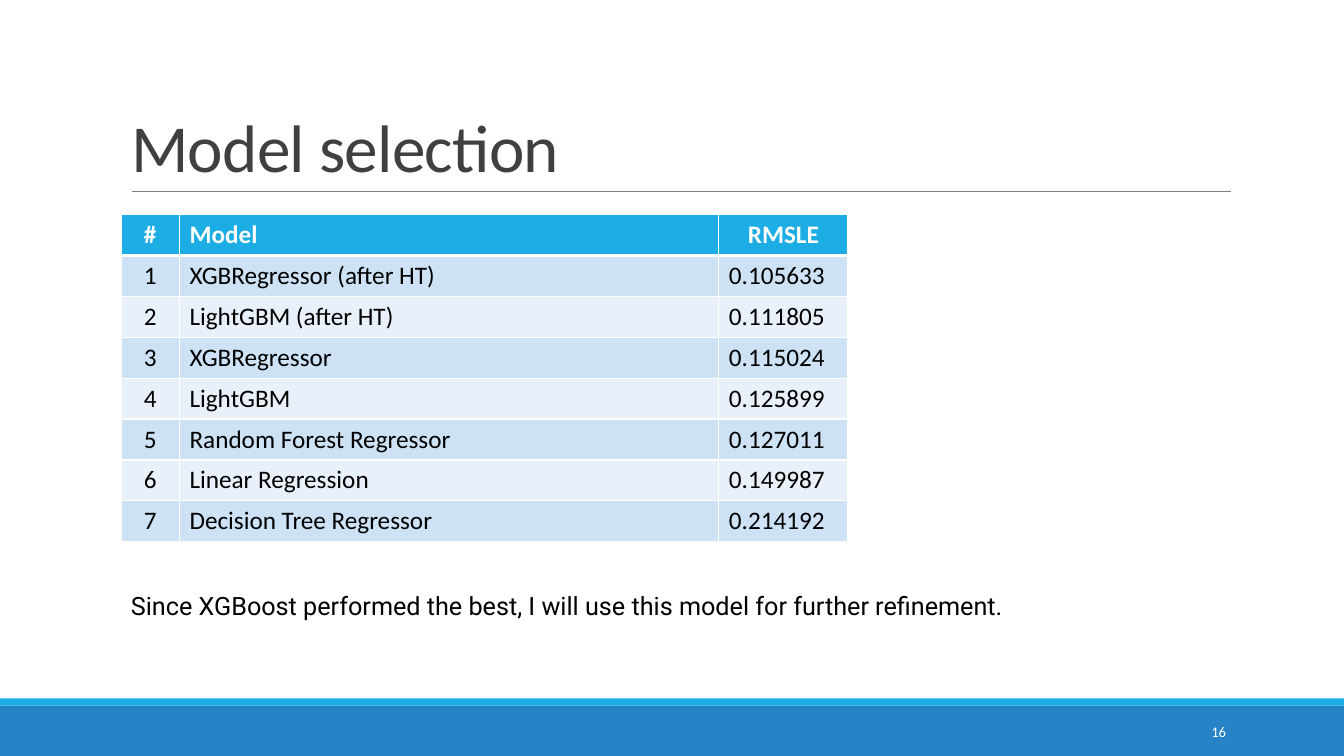
from dataclasses import dataclass
from typing import Any, NamedTuple

from lxml import etree
from pptx import Presentation
from pptx.dml.color import RGBColor
from pptx.enum.shapes import MSO_CONNECTOR, MSO_SHAPE
from pptx.enum.text import MSO_ANCHOR, MSO_AUTO_SIZE, PP_ALIGN
from pptx.oxml.ns import qn
from pptx.util import Inches, Pt

LEFT, CENTER, RIGHT = PP_ALIGN.LEFT, PP_ALIGN.CENTER, PP_ALIGN.RIGHT
TOP, MIDDLE, BOTTOM = MSO_ANCHOR.TOP, MSO_ANCHOR.MIDDLE, MSO_ANCHOR.BOTTOM
NO_FIT, GROW = MSO_AUTO_SIZE.NONE, MSO_AUTO_SIZE.SHAPE_TO_FIT_TEXT
RECTANGLE, STRAIGHT = MSO_SHAPE.RECTANGLE, MSO_CONNECTOR.STRAIGHT
TITLE_ONLY_LAYOUT = 5


@dataclass(frozen=True)
class Theme:
    white: str = "FFFFFF"
    black: str = "000000"
    title: str = "404040"
    rule: str = "808080"
    accent: str = "1CADE4"
    footer: str = "2683C6"
    bands: tuple[str, str] = ("CDE3F5", "E8F1FA")
    font: str = "Calibri"
    note_font: str = "Roboto"
    title_size: float = 48
    body_size: float = 18
    number_size: float = 10.5


class Box(NamedTuple):
    left: float
    top: float
    width: float
    height: float

    def lengths(self) -> list[int]:
        return [Inches(value) for value in self]


class Band(NamedTuple):
    box: Box
    color: str


class TextStyle(NamedTuple):
    size: float
    color: str
    font: str
    bold: bool = False
    alignment: Any = LEFT


class TextItem(NamedTuple):
    text: str
    box: Box
    style: TextStyle
    frame_format: dict[str, Any]


class Column(NamedTuple):
    heading: str
    width: float
    heading_alignment: Any
    alignment: Any


THEME = Theme()
SLIDE_WIDTH, SLIDE_HEIGHT = 13.33, 7.5
FOOTER_BANDS = [
    Band(Box(0, 7, SLIDE_WIDTH, 0.5), THEME.footer),
    Band(Box(0, 6.93, SLIDE_WIDTH, 0.07), THEME.accent),
]
TITLE = TextItem(
    "Model selection", Box(1.2, 0.31, 11, 1.59),
    TextStyle(THEME.title_size, THEME.title, THEME.font),
    {"vertical_anchor": BOTTOM, "auto_size": NO_FIT, "word_wrap": True},
)
TEXT_BOXES = [
    TextItem(
        "Since XGBoost performed the best, I will use this model for further refinement.",
        Box(1.2, 5.81, 8.93, 0.4),
        TextStyle(THEME.body_size, THEME.black, THEME.note_font),
        {"vertical_anchor": TOP, "auto_size": GROW, "word_wrap": False},
    ),
    TextItem(
        "16", Box(10.83, 7.06, 1.43, 0.4),
        TextStyle(THEME.number_size, THEME.white, THEME.font, alignment=RIGHT),
        {"vertical_anchor": MIDDLE, "auto_size": NO_FIT, "word_wrap": True},
    ),
]
COLUMNS = [
    Column("#", 0.58, CENTER, CENTER),
    Column("Model", 5.35, LEFT, LEFT),
    Column("RMSLE", 1.28, CENTER, LEFT),
]
SCORES = [
    ("XGBRegressor (after HT)", "0.105633"),
    ("LightGBM (after HT)", "0.111805"),
    ("XGBRegressor", "0.115024"),
    ("LightGBM", "0.125899"),
    ("Random Forest Regressor", "0.127011"),
    ("Linear Regression", "0.149987"),
    ("Decision Tree Regressor", "0.214192"),
]
TABLE_LEFT, TABLE_TOP, ROW_HEIGHT = 1.2, 2.13, 0.405
THIN_BORDER, HEADING_BORDER = 1, 3


def write_text(text_frame: Any, text: str, style: TextStyle) -> None:
    paragraph = text_frame.paragraphs[0]
    paragraph.alignment = style.alignment
    run = paragraph.add_run()
    run.text = text
    font_format = {"size": Pt(style.size), "name": style.font, "bold": style.bold}
    for name, value in font_format.items():
        setattr(run.font, name, value)
    run.font.color.rgb = RGBColor.from_string(style.color)


def fill_text_shape(shape: Any, item: TextItem) -> None:
    for name, value in item.frame_format.items():
        setattr(shape.text_frame, name, value)
    write_text(shape.text_frame, item.text, item.style)


def add_title(slide: Any) -> None:
    title = slide.shapes.title
    for name, value in zip(("left", "top", "width", "height"), TITLE.box.lengths()):
        setattr(title, name, value)
    fill_text_shape(title, TITLE)
    paragraph = title.text_frame.paragraphs[0]
    paragraph.line_spacing = 0.85
    paragraph.runs[0].font._element.set("spc", "-50")


def add_band(slide: Any, band: Band) -> None:
    shape = slide.shapes.add_shape(RECTANGLE, *band.box.lengths())
    shape.shadow.inherit = False
    shape.fill.solid()
    shape.fill.fore_color.rgb = RGBColor.from_string(band.color)
    shape.line.fill.background()


def add_title_rule(slide: Any) -> None:
    ends = [Inches(value) for value in (1.31, 1.9, 12.21, 1.9)]
    rule = slide.shapes.add_connector(STRAIGHT, *ends)
    rule.line.color.rgb = RGBColor.from_string(THEME.rule)
    rule.line.width = Pt(0.5)
    etree.SubElement(rule._element.spPr, qn("a:effectLst"))


def set_borders(cell: Any, top: float, bottom: float) -> None:
    """Draw white borders; call before the fill, which must follow them in the XML."""
    properties = cell._tc.get_or_add_tcPr()
    widths = {"lnL": THIN_BORDER, "lnR": THIN_BORDER, "lnT": top, "lnB": bottom}
    for tag, width in widths.items():
        line = etree.SubElement(properties, qn(f"a:{tag}"), w=str(Pt(width)))
        fill = etree.SubElement(line, qn("a:solidFill"))
        etree.SubElement(fill, qn("a:srgbClr"), val=THEME.white)


def add_score_table(slide: Any) -> None:
    rows = [tuple(column.heading for column in COLUMNS)]
    rows += [(str(rank), *score) for rank, score in enumerate(SCORES, start=1)]
    box = Box(TABLE_LEFT, TABLE_TOP, sum(column.width for column in COLUMNS),
              ROW_HEIGHT * len(rows))
    table = slide.shapes.add_table(len(rows), len(COLUMNS), *box.lengths()).table
    for table_column, column in zip(table.columns, COLUMNS):
        table_column.width = Inches(column.width)
    for row_index, row in enumerate(rows):
        heading = row_index == 0
        fill_color = THEME.accent if heading else THEME.bands[(row_index - 1) % 2]
        text_color = THEME.white if heading else THEME.black
        top = HEADING_BORDER if row_index == 1 else THIN_BORDER
        bottom = HEADING_BORDER if heading else THIN_BORDER
        for column_index, (text, column) in enumerate(zip(row, COLUMNS)):
            cell = table.cell(row_index, column_index)
            set_borders(cell, top, bottom)
            cell.fill.solid()
            cell.fill.fore_color.rgb = RGBColor.from_string(fill_color)
            alignment = column.heading_alignment if heading else column.alignment
            write_text(cell.text_frame, text, TextStyle(
                THEME.body_size, text_color, THEME.font, heading, alignment))


def main() -> None:
    presentation = Presentation()
    presentation.slide_width = Inches(SLIDE_WIDTH)
    presentation.slide_height = Inches(SLIDE_HEIGHT)
    slide = presentation.slides.add_slide(presentation.slide_layouts[TITLE_ONLY_LAYOUT])
    for band in FOOTER_BANDS:
        add_band(slide, band)
    add_title_rule(slide)
    add_title(slide)
    add_score_table(slide)
    for item in TEXT_BOXES:
        fill_text_shape(slide.shapes.add_textbox(*item.box.lengths()), item)
    presentation.save("out.pptx")


if __name__ == "__main__":
    main()
